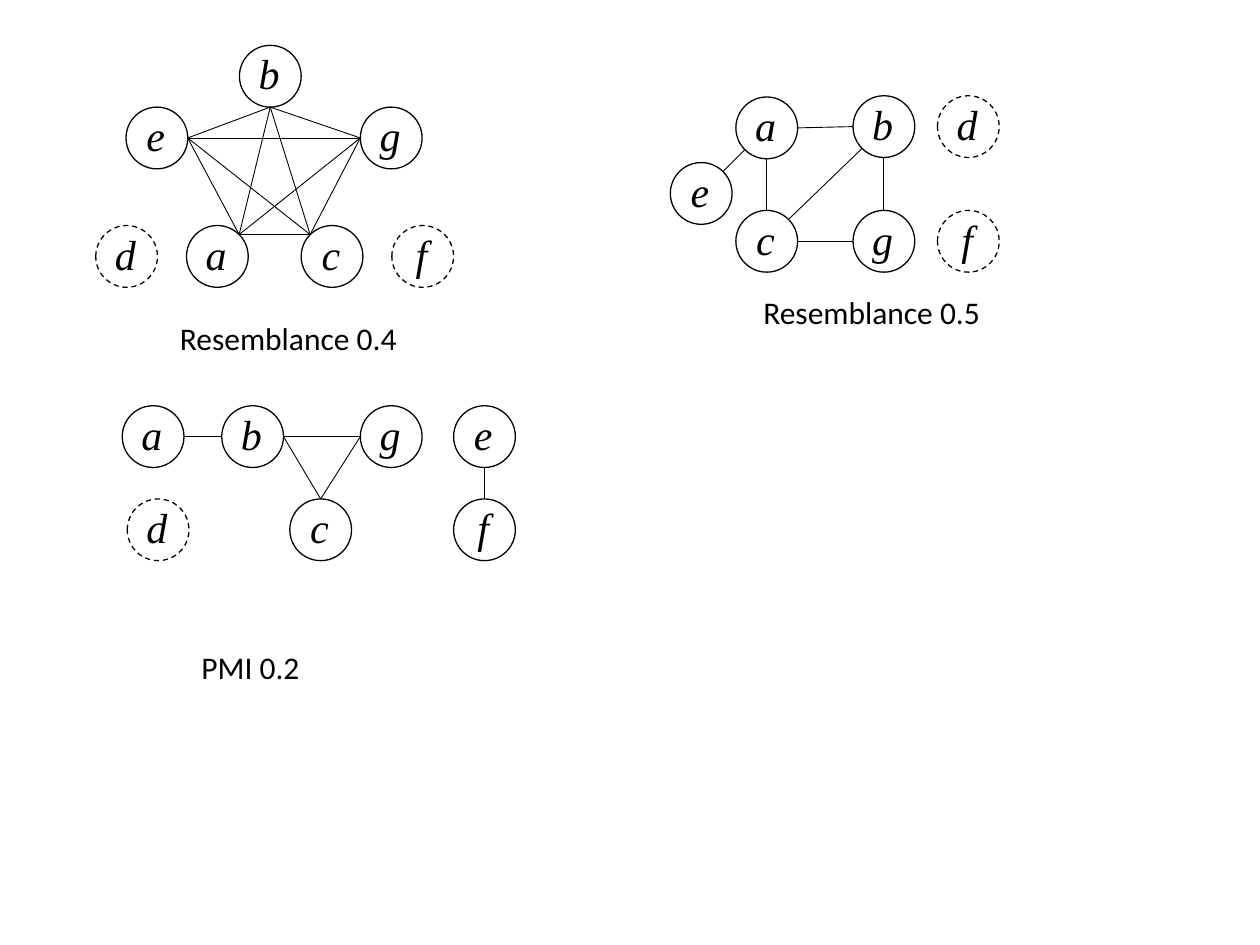
from dataclasses import dataclass
from itertools import combinations
from math import sqrt

from lxml import etree
from pptx import Presentation, util as u
from pptx.dml.color import RGBColor
from pptx.enum import dml, shapes, text
from pptx.oxml.ns import qn


@dataclass(frozen=True)
class Theme:
    ink: RGBColor = RGBColor(0, 0, 0)
    node_font: str = "Times New Roman"
    node_size: int = 24
    caption_font: str = "Calibri"
    caption_size: int = 18
    outline: float = 0.75
    edge: float = 0.5


THEME = Theme()
COLUMNS, ROWS = 100, 75
WIDTH, HEIGHT = u.Inches(10), u.Inches(7.5)
NODE = 4.9  # node diameter in grid cells
CAPTION_HEIGHT = 4

DIAGONAL = sqrt(0.5)
DIRECTIONS = {
    "N": (0, -1), "S": (0, 1), "W": (-1, 0), "E": (1, 0),
    "NE": (DIAGONAL, -DIAGONAL), "NW": (-DIAGONAL, -DIAGONAL),
    "SW": (-DIAGONAL, DIAGONAL),
}

# Nodes are label: (column, row) of the top left; an edge end is (label, side).
PENTAGON_ENDS = [("b", "S"), ("g", "W"), ("c", "NW"), ("a", "NE"), ("e", "E")]
GRAPHS = [
    {
        "nodes": {"e": (10, 8.5), "a": (14.8, 17.9), "d": (7.6, 17.9),
                  "f": (31.1, 17.9), "g": (28.6, 8.5), "b": (19, 3.6),
                  "c": (23.9, 17.9)},
        "isolated": "df",
        "edges": list(combinations(PENTAGON_ENDS, 2)),
        "caption": ("Resemblance 0.4", 13.3, 24.8, 19.4),
    },
    {
        "nodes": {"e": (36, 32.2), "a": (9.7, 32.2), "d": (10.1, 39.6),
                  "f": (36, 39.6), "g": (28.6, 32.2), "b": (17.6, 32.2),
                  "c": (23, 39.6)},
        "isolated": "d",
        "edges": [(("b", "W"), ("a", "E")), (("b", "E"), ("c", "N")),
                  (("b", "E"), ("g", "W")), (("c", "N"), ("g", "W")),
                  (("e", "S"), ("f", "N"))],
        "caption": ("PMI 0.2", 15, 50.9, 9.9),
    },
    {
        "nodes": {"e": (53.2, 12.9), "a": (58.4, 7.7), "d": (74.4, 7.6),
                  "g": (67.7, 16.7), "b": (67.7, 7.6), "c": (58.4, 16.7),
                  "f": (74.4, 16.7)},
        "isolated": "df",
        "edges": [(("a", "S"), ("c", "N")), (("b", "S"), ("g", "N")),
                  (("c", "E"), ("g", "W")), (("e", "NE"), ("a", "SW")),
                  (("a", "E"), ("b", "W")), (("c", "NE"), ("b", "SW"))],
        "caption": ("Resemblance 0.5", 59.6, 22.8, 19.4),
    },
]


def across(columns):
    return round(WIDTH * columns / COLUMNS)


def down(rows):
    return round(HEIGHT * rows / ROWS)


def style_font(paragraph, name, size, italic=False):
    for run in paragraph.runs:
        run.font.name = name
        run.font.size = u.Pt(size)
        run.font.italic = italic
        run.font.color.rgb = THEME.ink


def style_line(line, width):
    line.color.rgb = THEME.ink
    line.width = u.Pt(width)


def add_node(slide, label, position, dashed):
    column, row = position
    shape = slide.shapes.add_shape(shapes.MSO_SHAPE.OVAL, across(column),
                                   down(row), across(NODE), down(NODE))
    shape.shadow.inherit = False
    shape.fill.background()
    style_line(shape.line, THEME.outline)
    if dashed:
        shape.line.dash_style = dml.MSO_LINE.DASH
    frame = shape.text_frame
    frame.text = label
    frame.vertical_anchor = text.MSO_ANCHOR.MIDDLE
    frame.margin_left, frame.margin_right = u.Inches(0.08), u.Inches(0.1)
    frame.margin_top, frame.margin_bottom = 0, u.Inches(0.05)
    paragraph = frame.paragraphs[0]
    paragraph.alignment = text.PP_ALIGN.CENTER
    style_font(paragraph, THEME.node_font, THEME.node_size, italic=True)


def rim_point(nodes, end):
    """Point on a node's rim in the compass direction the end names."""
    label, side = end
    column, row = nodes[label]
    dx, dy = DIRECTIONS[side]
    radius = NODE / 2
    return across(column + radius * (1 + dx)), down(row + radius * (1 + dy))


def add_edge(slide, nodes, start, end):
    connector = slide.shapes.add_connector(
        shapes.MSO_CONNECTOR.STRAIGHT,
        *rim_point(nodes, start), *rim_point(nodes, end))
    style_line(connector.line, THEME.edge)
    etree.SubElement(connector._element.spPr, qn("a:effectLst"))


def add_caption(slide, wording, column, row, columns):
    box = slide.shapes.add_textbox(across(column), down(row),
                                   across(columns), down(CAPTION_HEIGHT))
    frame = box.text_frame
    frame.text = wording
    frame.word_wrap = False
    frame.auto_size = text.MSO_AUTO_SIZE.SHAPE_TO_FIT_TEXT
    style_font(frame.paragraphs[0], THEME.caption_font, THEME.caption_size)


def add_graph(slide, graph):
    nodes = graph["nodes"]
    for label, position in nodes.items():
        add_node(slide, label, position, label in graph["isolated"])
    for start, end in graph["edges"]:
        add_edge(slide, nodes, start, end)
    add_caption(slide, *graph["caption"])


def main():
    presentation = Presentation()
    presentation.slide_width, presentation.slide_height = WIDTH, HEIGHT
    slide = presentation.slides.add_slide(presentation.slide_layouts[6])
    for graph in GRAPHS:
        add_graph(slide, graph)
    presentation.save("out.pptx")


if __name__ == "__main__":
    main()
